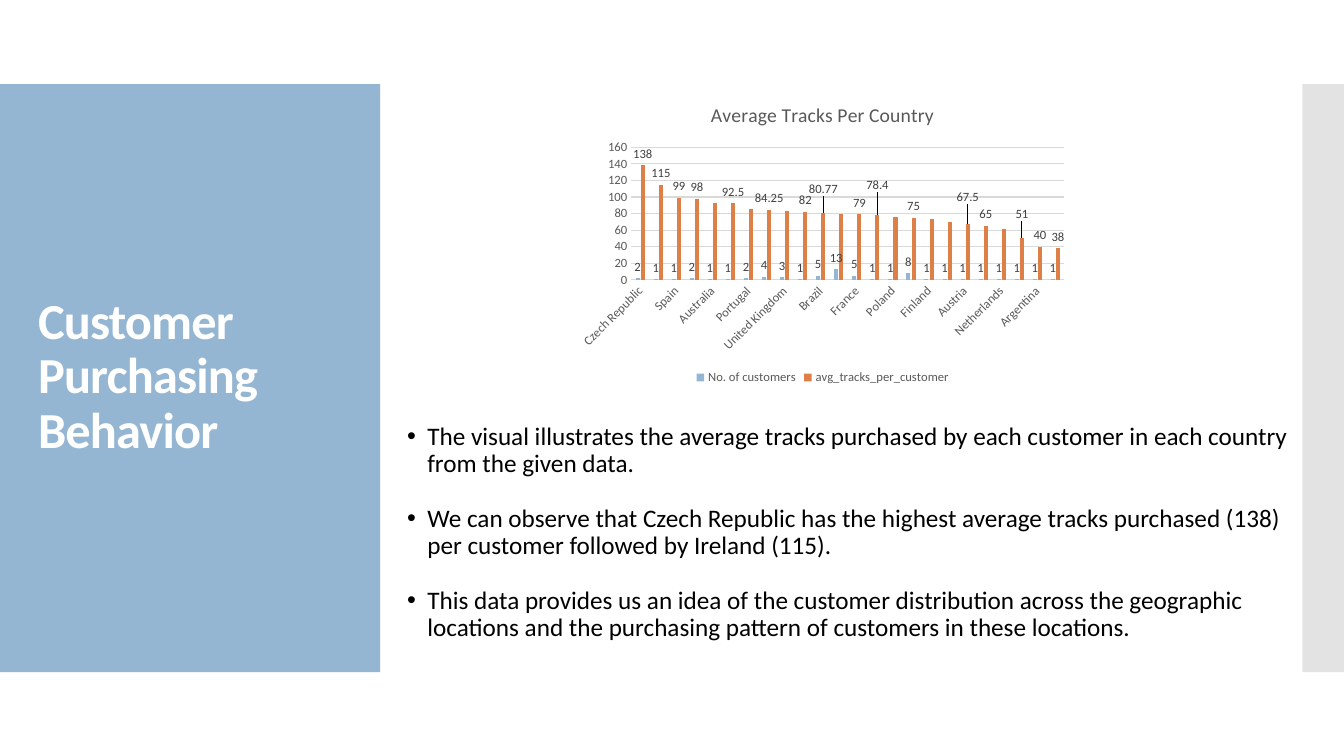
from dataclasses import dataclass

from lxml.etree import SubElement
from pptx import Presentation
from pptx.chart.data import CategoryChartData
from pptx.dml.color import RGBColor
from pptx.enum.chart import XL_CHART_TYPE as ChartType
from pptx.enum.chart import XL_LABEL_POSITION as LabelPosition
from pptx.enum.chart import XL_LEGEND_POSITION as LegendPosition
from pptx.enum.chart import XL_TICK_MARK as TickMark
from pptx.enum.shapes import MSO_SHAPE as ShapeKind
from pptx.enum.text import MSO_ANCHOR as Anchor
from pptx.oxml.ns import qn
from pptx.util import Cm, Pt


@dataclass(frozen=True)
class Theme:
    """Colours, type sizes and font of the slide."""

    font: str = "Calibri"
    blue: str = "94B6D2"
    orange: str = "DD8047"
    edge: str = "C8C8C8"
    white: str = "FFFFFF"
    black: str = "000000"
    axis_text: str = "595959"
    label_text: str = "404040"
    grid: str = "D9D9D9"
    title: int = 36
    body: int = 18
    chart_title: int = 14
    chart_base: int = 10
    chart_text: int = 9


THEME = Theme()
TITLE = "Customer Purchasing Behavior"
CHART_TITLE = "Average Tracks Per Country"
BULLETS = [
    "The visual illustrates the average tracks purchased by each customer in each country from the given data.",
    "We can observe that Czech Republic has the highest average tracks purchased (138) per customer followed by Ireland (115).",
    "This data provides us an idea of the customer distribution across the geographic locations and the purchasing pattern of customers in these locations.",
]
COUNTRIES = [
    ("Czech Republic", 2, 138), ("Ireland", 1, 115), ("Spain", 1, 99),
    ("India", 2, 98), ("Australia", 1, 93), ("Chile", 1, 92.5),
    ("Portugal", 2, 85.8), ("Germany", 4, 84.25), ("United Kingdom", 3, 82.67),
    ("Hungary", 1, 82), ("Brazil", 5, 80.77), ("USA", 13, 80),
    ("France", 5, 79), ("Sweden", 1, 78.4), ("Poland", 1, 76),
    ("Canada", 8, 75), ("Finland", 1, 73), ("Norway", 1, 70),
    ("Austria", 1, 67.5), ("Belgium", 1, 65), ("Netherlands", 1, 61),
    ("Italy", 1, 51), ("Argentina", 1, 40), ("Denmark", 1, 38),
]
UNLABELLED = {"Australia", "Portugal", "United Kingdom", "USA", "Poland",
              "Finland", "Norway", "Netherlands"}
RAISED = {"Brazil": -0.04, "Sweden": -0.06, "Austria": -0.05, "Italy": -0.04}


def style_font(font, size, color, bold=False):
    """Set the theme font with a size and colour."""
    font.name = THEME.font
    font.size = Pt(size)
    font.bold = bold
    font.color.rgb = RGBColor.from_string(color)


def add_band(slide, left, width, color, opacity=100):
    """Add a vertical colour band."""
    shape = slide.shapes.add_shape(ShapeKind.RECTANGLE, left, Cm(2.12), width, Cm(14.82))
    shape.shadow.inherit = False
    shape.fill.solid()
    shape.fill.fore_color.rgb = RGBColor.from_string(color)
    shape.line.fill.background()
    if opacity < 100:
        tint = shape.fill._xPr.find(".//" + qn("a:srgbClr"))
        SubElement(tint, qn("a:alpha"), val=str(opacity * 1000))


def add_text_frame(slide, left, top, width, height, anchor):
    """Add a wrapping text box and return its text frame."""
    frame = slide.shapes.add_textbox(left, top, width, height).text_frame
    frame.word_wrap = True
    frame.vertical_anchor = anchor
    return frame


def add_title(slide):
    """Add the slide title on the blue band."""
    frame = add_text_frame(slide, Cm(0.71), Cm(3.12), Cm(8.18), Cm(12.78), Anchor.MIDDLE)
    paragraph = frame.paragraphs[0]
    paragraph.line_spacing = 0.9
    run = paragraph.add_run()
    run.text = TITLE
    style_font(run.font, THEME.title, THEME.white, bold=True)
    run.font._element.set("spc", "-60")


def add_bullets(slide):
    """Add the bulleted findings."""
    frame = add_text_frame(slide, Cm(10.01), Cm(10.67), Cm(22.94), Cm(6.12), Anchor.TOP)
    frame.margin_top = 0
    for index, text in enumerate(BULLETS):
        paragraph = frame.add_paragraph() if index else frame.paragraphs[0]
        properties = paragraph._p.get_or_add_pPr()
        properties.set("marL", str(Cm(0.51)))
        properties.set("indent", str(-Cm(0.51)))
        SubElement(properties, qn("a:buFont"), typeface="Arial")
        SubElement(properties, qn("a:buChar"), char="•")
        paragraph.line_spacing = 0.9
        paragraph.space_before = Pt(19.8 if index else 0)
        run = paragraph.add_run()
        run.text = text
        style_font(run.font, THEME.body, THEME.black)


def style_axes(chart):
    """Style both axes and the gridlines."""
    for axis in (chart.category_axis, chart.value_axis):
        axis.major_tick_mark = axis.minor_tick_mark = TickMark.NONE
        style_font(axis.tick_labels.font, THEME.chart_text, THEME.axis_text)
    countries, values = chart.category_axis, chart.value_axis
    countries._element.find(qn("c:txPr")).find(qn("a:bodyPr")).set("rot", "-2700000")
    values.minimum_scale, values.maximum_scale, values.major_unit = 0, 160, 20
    values.format.line.fill.background()
    for line in (countries.format.line, values.major_gridlines.format.line):
        line.color.rgb = RGBColor.from_string(THEME.grid)
        line.width = Pt(0.75)


def style_series(series, color):
    """Colour a series and show its values above the columns."""
    series.format.fill.solid()
    series.format.fill.fore_color.rgb = RGBColor.from_string(color)
    labels = series.data_labels
    labels.show_value = True
    labels.position = LabelPosition.OUTSIDE_END
    style_font(labels.font, THEME.chart_text, THEME.label_text)


def adjust_labels(series):
    """Hide or raise the value labels that would collide."""
    for index, (country, _, _) in enumerate(COUNTRIES):
        if country not in UNLABELLED and country not in RAISED:
            continue
        label = series.points[index].data_label
        label.position = LabelPosition.OUTSIDE_END
        style_font(label.font, THEME.chart_text, THEME.label_text)
        element = series.data_labels._element.xpath(f"c:dLbl[c:idx/@val='{index}']")[0]
        if country in UNLABELLED:
            for child in list(element)[1:]:
                element.remove(child)
            SubElement(element, qn("c:delete"), val="1")
        else:
            layout = SubElement(element, qn("c:layout"))
            element.insert(1, layout)
            manual = SubElement(layout, qn("c:manualLayout"))
            SubElement(manual, qn("c:x"), val="0")
            SubElement(manual, qn("c:y"), val=str(RAISED[country]))


def add_tracks_chart(slide):
    """Add the clustered columns of customers and average tracks."""
    names, customers, tracks = zip(*COUNTRIES)
    data = CategoryChartData()
    data.categories = names
    data.add_series("No. of customers", customers)
    data.add_series("avg_tracks_per_customer", tracks)
    chart = slide.shapes.add_chart(ChartType.COLUMN_CLUSTERED, Cm(14.38), Cm(2.18),
                                   Cm(12.7), Cm(7.62), data).chart
    style_font(chart.font, THEME.chart_base, THEME.black)
    run = chart.chart_title.text_frame.paragraphs[0].add_run()
    run.text = CHART_TITLE
    style_font(run.font, THEME.chart_title, THEME.axis_text)
    chart.chart_title.include_in_layout = False
    chart.has_legend = True
    chart.legend.position = LegendPosition.BOTTOM
    chart.legend.include_in_layout = False
    style_font(chart.legend.font, THEME.chart_text, THEME.axis_text)
    style_axes(chart)
    plot = chart.plots[0]
    plot.vary_by_categories = False
    plot.gap_width, plot.overlap = 219, -27
    for series, color in zip(plot.series, (THEME.blue, THEME.orange)):
        style_series(series, color)
    adjust_labels(plot.series[1])


def main():
    """Build and save the slide."""
    presentation = Presentation()
    presentation.slide_width, presentation.slide_height = Cm(33.87), Cm(19.05)
    slide = presentation.slides.add_slide(presentation.slide_layouts[6])
    add_band(slide, 0, Cm(9.58), THEME.blue)
    add_band(slide, Cm(32.82), Cm(1.05), THEME.edge, opacity=50)
    add_title(slide)
    add_bullets(slide)
    add_tracks_chart(slide)
    presentation.save("out.pptx")


if __name__ == "__main__":
    main()
